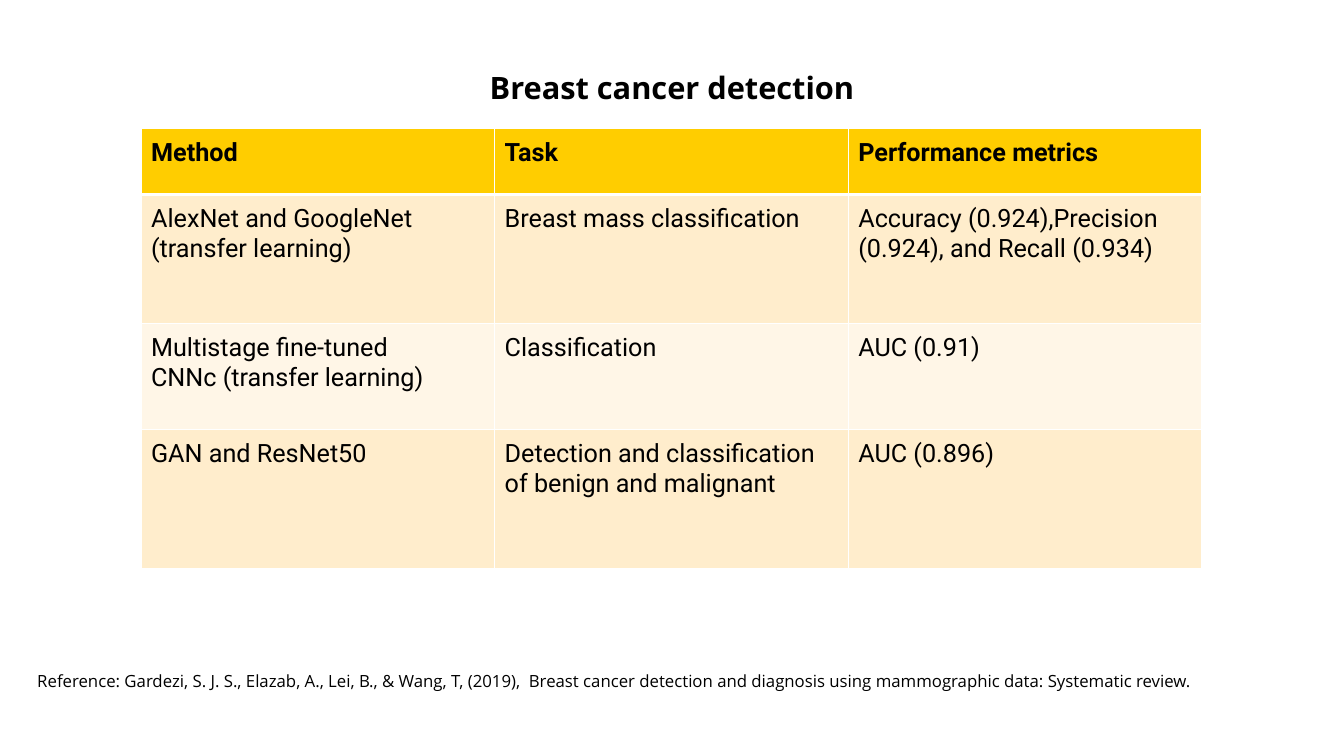
from lxml import etree
from pptx import Presentation
from pptx import util as u
from pptx.dml.color import RGBColor
from pptx.enum import text
from pptx.oxml.ns import qn

TITLE = "Breast cancer detection"
REFERENCE = (
    "Reference: Gardezi, S. J. S., Elazab, A., Lei, B., & Wang, T, (2019),  "
    "Breast cancer detection and diagnosis using mammographic data: Systematic review."
)
ROWS = [
    ("Method", "Task", "Performance metrics"),
    ("AlexNet and GoogleNet\n(transfer learning)", "Breast mass classification",
     "Accuracy (0.924),Precision (0.924), and Recall (0.934)"),
    ("Multistage fine-tuned\nCNNc (transfer learning)", "Classification", "AUC (0.91)"),
    ("GAN and ResNet50", "Detection and classification of benign and malignant",
     "AUC (0.896)"),
]
ROW_HEIGHTS = [0.66, 1.28, 1.05, 1.38]
COLUMN_WIDTH = 3.51
THEME = {
    "heading_font": "Open Sans", "table_font": "Roboto",
    "title_size": 22, "table_size": 18, "reference_size": 12,
    "ink": "000000", "header": "FFCD00", "bands": ("FFEDCC", "FFF6E7"),
    "border": "FFFFFF",
}


def style(paragraph, font, size, bold=False):
    paragraph.font.name = font
    paragraph.font.size = u.Pt(size)
    paragraph.font.bold = bold
    paragraph.font.color.rgb = RGBColor.from_string(THEME["ink"])


def add_text(page, place, words, size, insets, bold=False):
    box = page.shapes.add_textbox(*map(u.Inches, place))
    frame = box.text_frame
    frame.word_wrap = True
    (frame.margin_left, frame.margin_top,
     frame.margin_right, frame.margin_bottom) = map(u.Inches, insets)
    frame.text = words
    style(frame.paragraphs[0], THEME["heading_font"], size, bold)
    return frame


def add_borders(cell, widths):
    properties = cell._tc.get_or_add_tcPr()
    for index, (side, points) in enumerate(widths.items()):
        line = etree.Element(qn(f"a:ln{side}"), w=str(u.Pt(points)))
        fill = etree.SubElement(line, qn("a:solidFill"))
        etree.SubElement(fill, qn("a:srgbClr"), val=THEME["border"])
        properties.insert(index, line)


def add_results(page):
    columns = len(ROWS[0])
    table = page.shapes.add_table(
        len(ROWS), columns, u.Inches(1.4), u.Inches(1.27),
        u.Inches(COLUMN_WIDTH * columns), u.Inches(sum(ROW_HEIGHTS))).table
    for column in table.columns:
        column.width = u.Inches(COLUMN_WIDTH)
    for r, (words, height) in enumerate(zip(ROWS, ROW_HEIGHTS)):
        table.rows[r].height = u.Inches(height)
        header = r == 0
        color = THEME["header"] if header else THEME["bands"][(r - 1) % 2]
        for c, entry in enumerate(words):
            cell = table.cell(r, c)
            cell.text = entry
            cell.margin_left = cell.margin_right = u.Inches(0.1)
            cell.margin_top = cell.margin_bottom = u.Inches(0.1)
            cell.fill.solid()
            cell.fill.fore_color.rgb = RGBColor.from_string(color)
            add_borders(cell, {"L": 1, "R": 1, "T": 3 if r == 1 else 1,
                               "B": 3 if header else 1})
            for para in cell.text_frame.paragraphs:
                style(para, THEME["table_font"], THEME["table_size"], header)


def main():
    deck = Presentation()
    deck.slide_width, deck.slide_height = u.Inches(13.34), u.Inches(7.5)
    page = deck.slides.add_slide(deck.slide_layouts[6])

    reference = add_text(page, (0.37, 6.51, 12.6, 0.59), REFERENCE,
                         THEME["reference_size"], (0, 0.05, 0.1, 0.25))
    reference.vertical_anchor = text.MSO_ANCHOR.BOTTOM
    reference.paragraphs[0].line_spacing = 1.1

    title = add_text(page, (4.45, 0.68, 4.44, 0.37), TITLE,
                     THEME["title_size"], (0, 0, 0, 0), bold=True)
    title.auto_size = text.MSO_AUTO_SIZE.SHAPE_TO_FIT_TEXT
    title.paragraphs[0].alignment = text.PP_ALIGN.CENTER

    add_results(page)
    deck.save("out.pptx")


if __name__ == "__main__":
    main()
